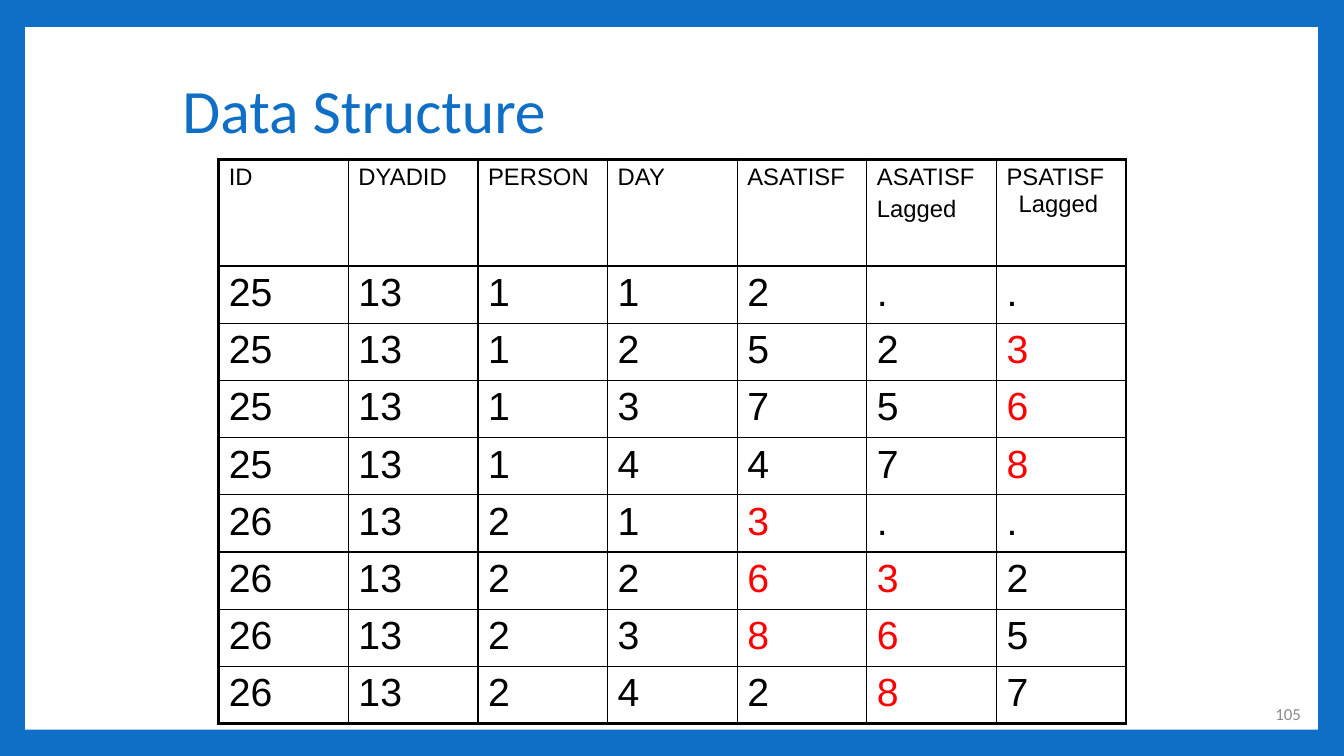
from dataclasses import dataclass

from lxml.etree import SubElement
from pptx import Presentation
from pptx.dml.color import RGBColor as RGB
from pptx.enum.shapes import MSO_SHAPE as SHAPE
from pptx.enum.text import MSO_ANCHOR as ANCHOR, PP_ALIGN as ALIGN
from pptx.oxml.ns import qn
from pptx.util import Inches, Pt


@dataclass(frozen=True)
class Theme:
    blue: str = "0F6FC6"
    white: str = "FFFFFF"
    black: str = "000000"
    red: str = "FF0000"
    grey: str = "898989"
    heading: str = "Calibri"
    body: str = "Arial"
    title_size: float = 44
    header_size: float = 17
    value_size: float = 28
    number_size: float = 12
    outer_line: float = 2.25
    inner_line: float = 1


THEME = Theme()

HEADERS = ["ID", "DYADID", "PERSON", "DAY", "ASATISF", "ASATISF\nLagged", "PSATISF Lagged"]
RECORDS = """
25 13 1 1 2 . .
25 13 1 2 5 2 3
25 13 1 3 7 5 6
25 13 1 4 4 7 8
26 13 2 1 3 . .
26 13 2 2 6 3 2
26 13 2 3 8 6 5
26 13 2 4 2 8 7
"""
FIRST_SATISF_COLUMN = 4
SECOND_PERSON_SCORES = {"3", "6", "8"}


def set_attrs(target, values):
    for name, value in values.items():
        setattr(target, name, value)


def style_font(p, face, size, color):
    set_attrs(p.font, {"name": face, "size": Pt(size), "bold": False})
    p.font.color.rgb = RGB.from_string(color)


def add_panel(s):
    panel = s.shapes.add_shape(
        SHAPE.RECTANGLE, Inches(0.25), Inches(0.27), Inches(12.82), Inches(6.97))
    panel.shadow.inherit = False
    panel.fill.solid()
    panel.fill.fore_color.rgb = RGB.from_string(THEME.white)
    panel.line.fill.background()
    s.shapes.title.element.addprevious(panel.element)


def set_title(s, text):
    title = s.shapes.title
    set_attrs(title, {"left": Inches(1.71), "top": Inches(0.5),
                      "width": Inches(11.33), "height": Inches(1.25)})
    tf = title.text_frame
    tf.text = text
    set_attrs(tf, {"vertical_anchor": ANCHOR.MIDDLE, "word_wrap": True})
    p = tf.paragraphs[0]
    set_attrs(p, {"alignment": ALIGN.LEFT, "line_spacing": 0.9})
    style_font(p, THEME.heading, THEME.title_size, THEME.blue)


def set_borders(cell, outer_sides):
    tc_pr = cell._tc.get_or_add_tcPr()
    for side in "LRTB":
        width = THEME.outer_line if side in outer_sides else THEME.inner_line
        line = SubElement(tc_pr, qn(f"a:ln{side}"), w=str(int(Pt(width))))
        fill = SubElement(line, qn("a:solidFill"))
        SubElement(fill, qn("a:srgbClr"), val=THEME.black)


def fill_cell(cell, text, size, color, outer_sides):
    set_borders(cell, outer_sides)
    cell.fill.background()
    set_attrs(cell, {"margin_left": Inches(0.1), "margin_right": Inches(0.1),
                     "margin_top": Inches(0.05), "margin_bottom": Inches(0.05)})
    tf = cell.text_frame
    tf.text = text
    for i, p in enumerate(tf.paragraphs):
        p_pr = p._p.get_or_add_pPr()
        p_pr.set("marL", str(Inches(0.12)))
        p_pr.set("indent", str(Inches(-0.12)))
        if i:
            p.space_before = Pt(size * 0.2)
        style_font(p, THEME.body, size, color)


def value_color(column, value):
    marked = column >= FIRST_SATISF_COLUMN and value in SECOND_PERSON_SCORES
    return THEME.red if marked else THEME.black


def add_data_table(s):
    rows = [HEADERS] + [line.split() for line in RECORDS.strip().splitlines()]
    last_row, last_column = len(rows) - 1, len(HEADERS) - 1
    width, height, header_height = Inches(9), Inches(5.6), Inches(1.06)
    table = s.shapes.add_table(
        len(rows), len(HEADERS), Inches(2.17), Inches(1.58), width, height).table
    set_attrs(table, {"first_row": False, "horz_banding": False})
    for column in table.columns:
        column.width = width // len(HEADERS)
    for r, values in enumerate(rows):
        table.rows[r].height = (height - header_height) // last_row if r else header_height
        size = THEME.value_size if r else THEME.header_size
        for c, value in enumerate(values):
            edges = {"L": c == 0, "R": c == last_column, "T": r == 0, "B": r == last_row}
            outer_sides = [side for side, is_edge in edges.items() if is_edge]
            fill_cell(table.cell(r, c), value, size, value_color(c, value), outer_sides)


def add_slide_number(s, text):
    tf = s.shapes.add_textbox(
        Inches(10.22), Inches(6.83), Inches(2.78), Inches(0.5)).text_frame
    set_attrs(tf, {"text": text, "word_wrap": True, "vertical_anchor": ANCHOR.MIDDLE})
    p = tf.paragraphs[0]
    p.alignment = ALIGN.RIGHT
    style_font(p, THEME.heading, THEME.number_size, THEME.grey)


def main():
    prs = Presentation()
    set_attrs(prs, {"slide_width": Inches(13.33), "slide_height": Inches(7.5)})
    s = prs.slides.add_slide(prs.slide_layouts[5])
    s.background.fill.solid()
    s.background.fill.fore_color.rgb = RGB.from_string(THEME.blue)
    add_panel(s)
    set_title(s, "Data Structure")
    add_data_table(s)
    add_slide_number(s, "105")
    prs.save("out.pptx")


if __name__ == "__main__":
    main()
